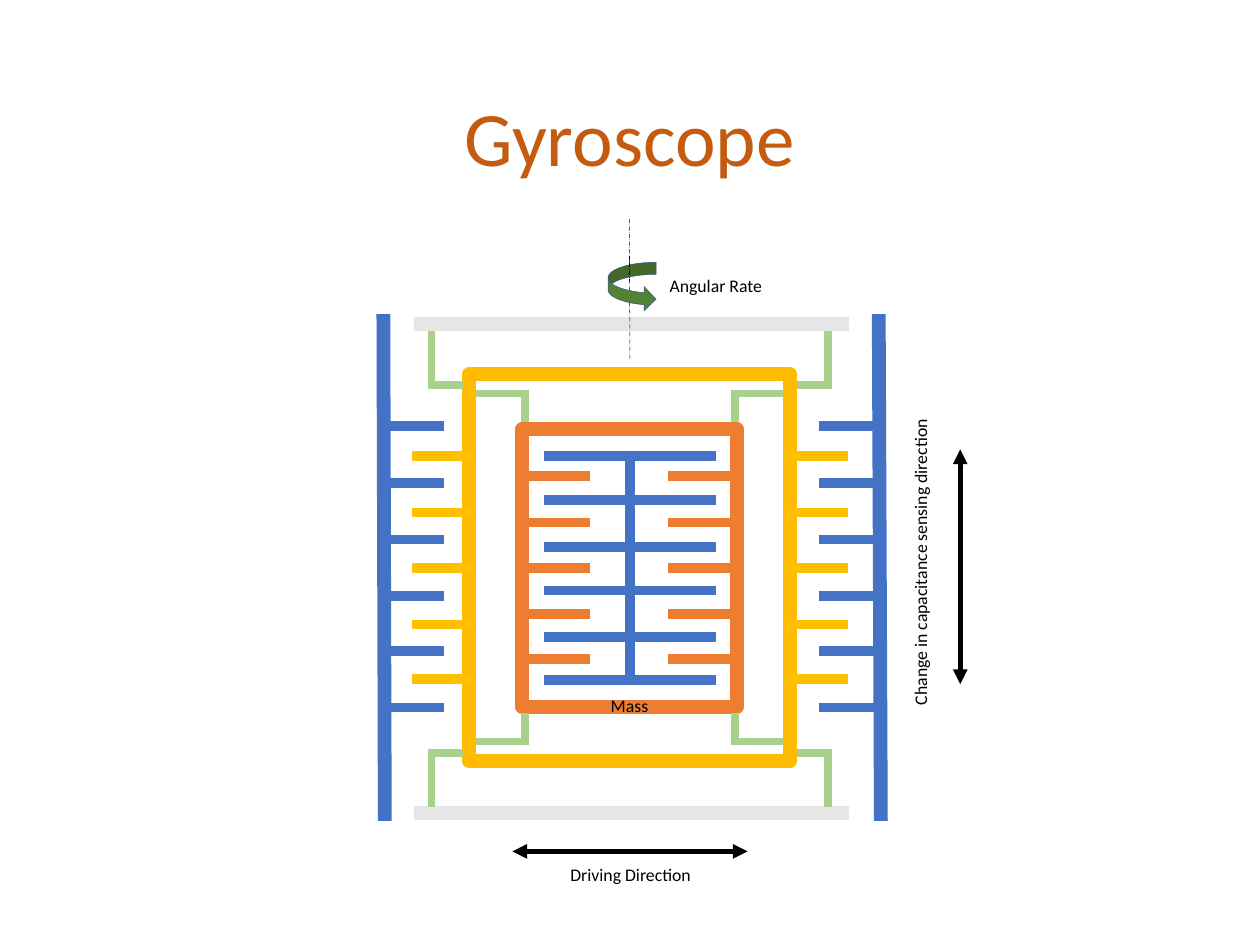
import pptx
import pptx.util
import pptx.dml.color
import pptx.enum.dml
import pptx.enum.shapes
import pptx.enum.text
import pptx.oxml.ns
from lxml import etree

Inches = pptx.util.Inches
Pt = pptx.util.Pt
Kind = pptx.enum.shapes.MSO_SHAPE
Align = pptx.enum.text.PP_ALIGN
Anchor = pptx.enum.text.MSO_ANCHOR
Fit = pptx.enum.text.MSO_AUTO_SIZE
Dash = pptx.enum.dml.MSO_LINE

BLUE, GOLD, RUST = "4472C4", "FFC000", "ED7D31"
GRAY, GREEN, BLACK = "E7E6E6", "A9D18E", "000000"
WIDE, TALL = 17.78, 13.33

title = ("Gyroscope", (1.22, 0.71, 15.33, 2.58))
labels = [
    ("Driving Direction", (7.95, 12.13, 1.93, 0.4), 0),
    ("Mass", (8.52, 9.75, 0.73, 0.4), 0),
    ("Change in capacitance sensing direction", (10.84, 7.7, 4.29, 0.4), 270),
    ("Angular Rate", (9.35, 3.82, 1.52, 0.4), 0),
]
frames = {
    "outer": ((6.62, 5.28, 4.53, 5.46), "FEBB00"),
    "mass": ((7.37, 6.05, 3.03, 3.92), RUST),
}
rails = [(5.41, 5.43), (12.4, 12.43)]
combs = {
    "fixed": ([(5.4, 6.26), (12.41, 11.55)], [6.01, 6.81, 7.61, 8.41, 9.18, 9.98], BLUE),
    "outer": ([(5.82, 6.68), (11.96, 11.1)], [6.43, 7.23, 8.01, 8.81, 9.58], GOLD),
    "mass": ([(7.47, 8.33), (9.42, 10.5)], [6.72, 7.37, 8.01, 8.66, 9.29], RUST),
    "drive": ([(7.67, 10.11)], [6.43, 7.05, 7.72, 8.33, 8.98, 9.59], BLUE),
}
springs = [
    ((6.09, 4.67, 6.09, 5.49), 16.05),
    ((6.11, 5.43, 6.53, 5.43), 16.05),
    ((6.72, 5.55, 7.47, 5.55), 16.01),
    ((7.41, 5.57, 7.41, 5.95), 16.01),
]
anchors = [4.57, 11.47]
arrows = [(7.23, 12.01, 10.55, 12.01), (13.55, 6.34, 13.55, 9.65)]
axis = [(8.88, 3.09, 8.89, 5.07), (8.88, 3.61, 8.88, 3.97)]

deck = pptx.Presentation()
deck.slide_width, deck.slide_height = Inches(WIDE), Inches(TALL)
slide = deck.slides.add_slide(deck.slide_layouts[5])
shapes = slide.shapes


def rgb(code):
    return pptx.dml.color.RGBColor.from_string(code)


def put(item, looks):
    for name, value in looks.items():
        setattr(item, name, value)


def box(place):
    return [Inches(n) for n in place]


def write(frame, words, size, tint, **looks):
    put(frame, looks)
    para = frame.paragraphs[0]
    run = para.add_run()
    run.text = words
    put(run.font, {"size": Pt(size), "name": "Calibri"})
    run.font.color.rgb = rgb(tint)
    return para


def stroke(line, tint, width):
    line.color.rgb = rgb(tint)
    line.width = Pt(width)


def draw(ends, tint, width, dash=None, heads=False):
    bar = shapes.add_connector(pptx.enum.shapes.MSO_CONNECTOR.STRAIGHT, *box(ends))
    stroke(bar.line, tint, width)
    if dash:
        bar.line.dash_style = dash
    qn = pptx.oxml.ns.qn
    props = bar._element.spPr
    if heads:
        for tag in ("a:headEnd", "a:tailEnd"):
            etree.SubElement(props.find(qn("a:ln")), qn(tag), type="triangle")
    etree.SubElement(props, qn("a:effectLst"))


def shape(kind, place, tint, width, fill=None):
    item = shapes.add_shape(kind, *box(place))
    item.shadow.inherit = False
    stroke(item.line, tint, width)
    if fill:
        item.fill.solid()
        item.fill.fore_color.rgb = rgb(fill)
    else:
        item.fill.background()


def label(words, place, turn):
    item = shapes.add_textbox(*box(place))
    item.rotation = turn
    write(item.text_frame, words, 18, BLACK, word_wrap=False, auto_size=Fit.SHAPE_TO_FIT_TEXT)


words, place = title
head = shapes.title
put(head, dict(zip(("left", "top", "width", "height"), box(place))))
para = write(head.text_frame, words, 78.2, "C55A11",
             word_wrap=True, vertical_anchor=Anchor.MIDDLE, auto_size=Fit.NONE)
put(para, {"alignment": Align.CENTER, "line_spacing": 0.9})

for top, base in rails:
    draw((top, 4.43, base, 11.58), BLUE, 14)
for name, (spans, rows, tint) in combs.items():
    if name in frames:
        shape(Kind.RECTANGLE, *frames[name], 14)
    for start, end in spans:
        for y in rows:
            draw((start, y, end, y), tint, 10)
draw((8.89, 6.46, 8.89, 9.58), BLUE, 10)

for y in anchors:
    draw((5.84, y, 11.98, y), GRAY, 14)
for (x1, y1, x2, y2), total in springs:
    for a, b in ((x1, x2), (WIDE - x1, WIDE - x2)):
        for c, d in ((y1, y2), (total - y1, total - y2)):
            draw((a, c, b, d), GREEN, 8)

for ends in arrows:
    draw(ends, BLACK, 5, heads=True)
draw(axis[0], BLACK, 0.5, Dash.LONG_DASH_DOT)
shape(Kind.CURVED_RIGHT_ARROW, (8.58, 3.7, 0.68, 0.69), "325491", 0.5, "548235")
draw(axis[1], BLACK, 0.5, Dash.LONG_DASH_DOT)
for item in labels:
    label(*item)

deck.save("out.pptx")
